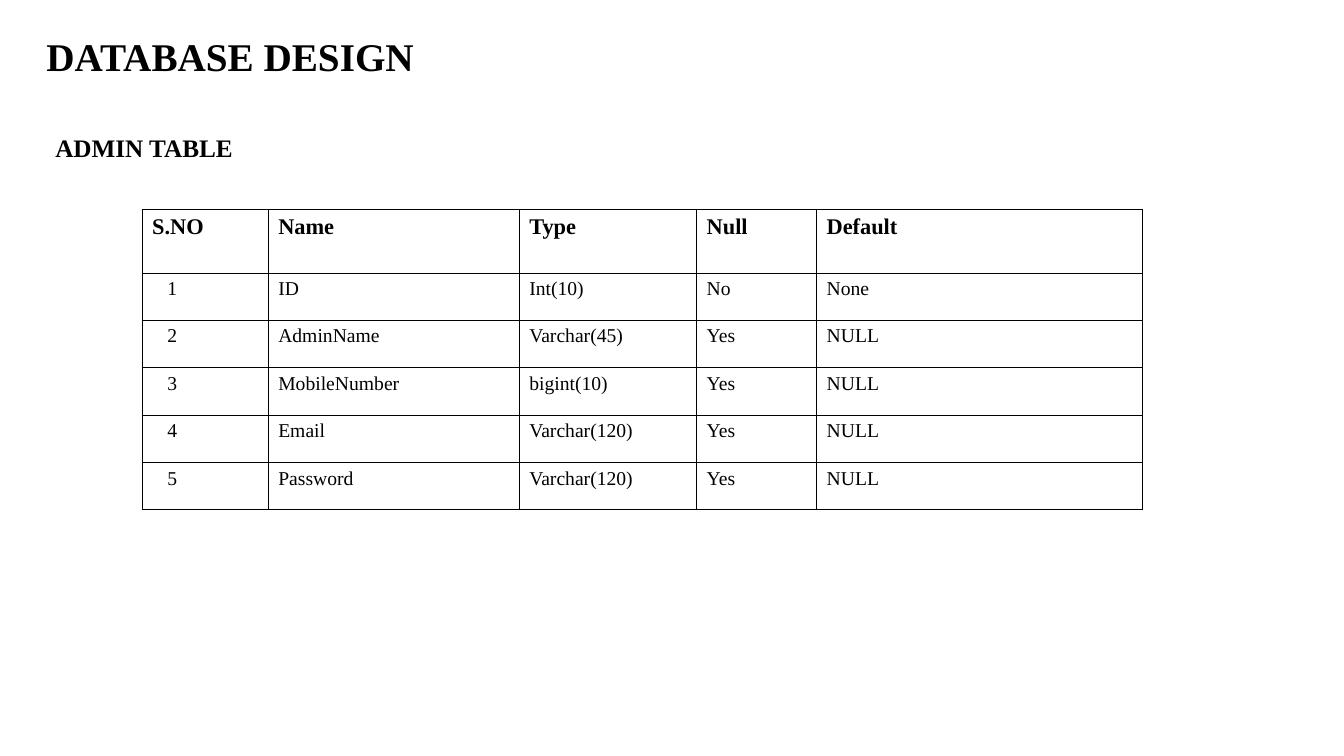
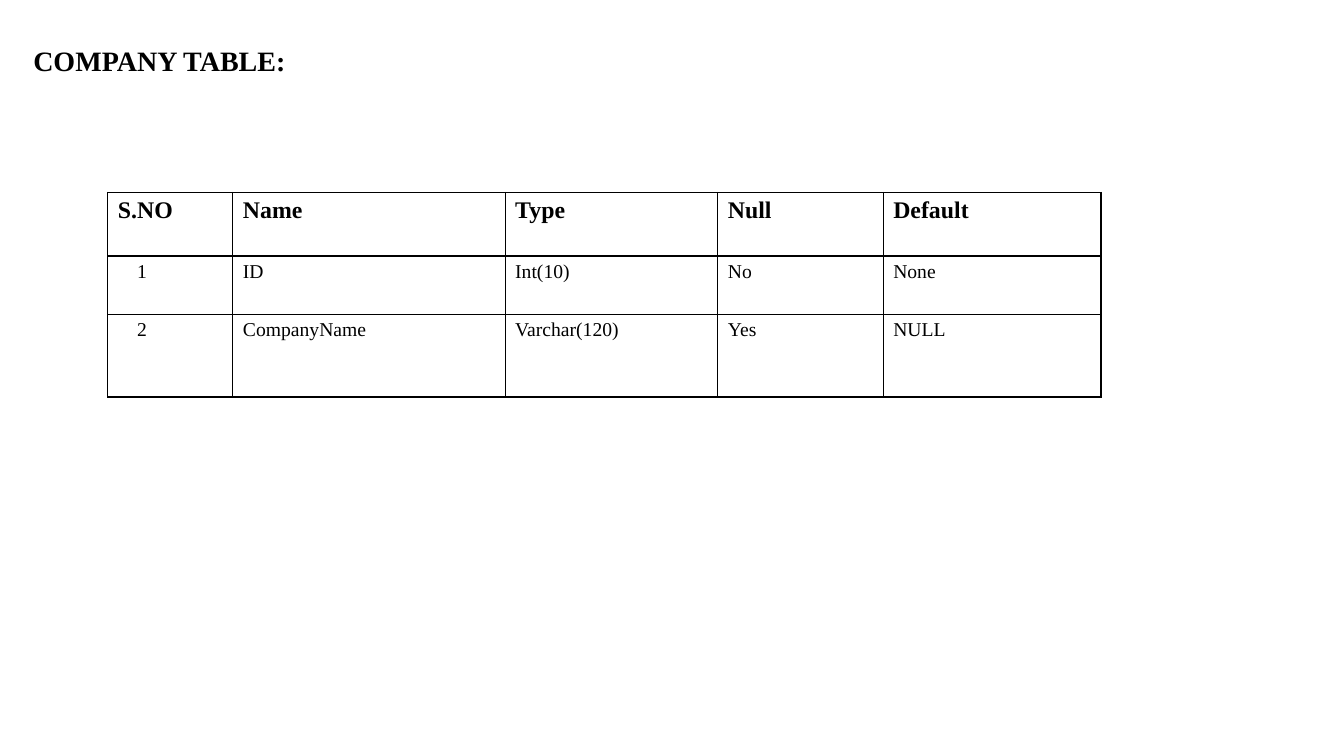
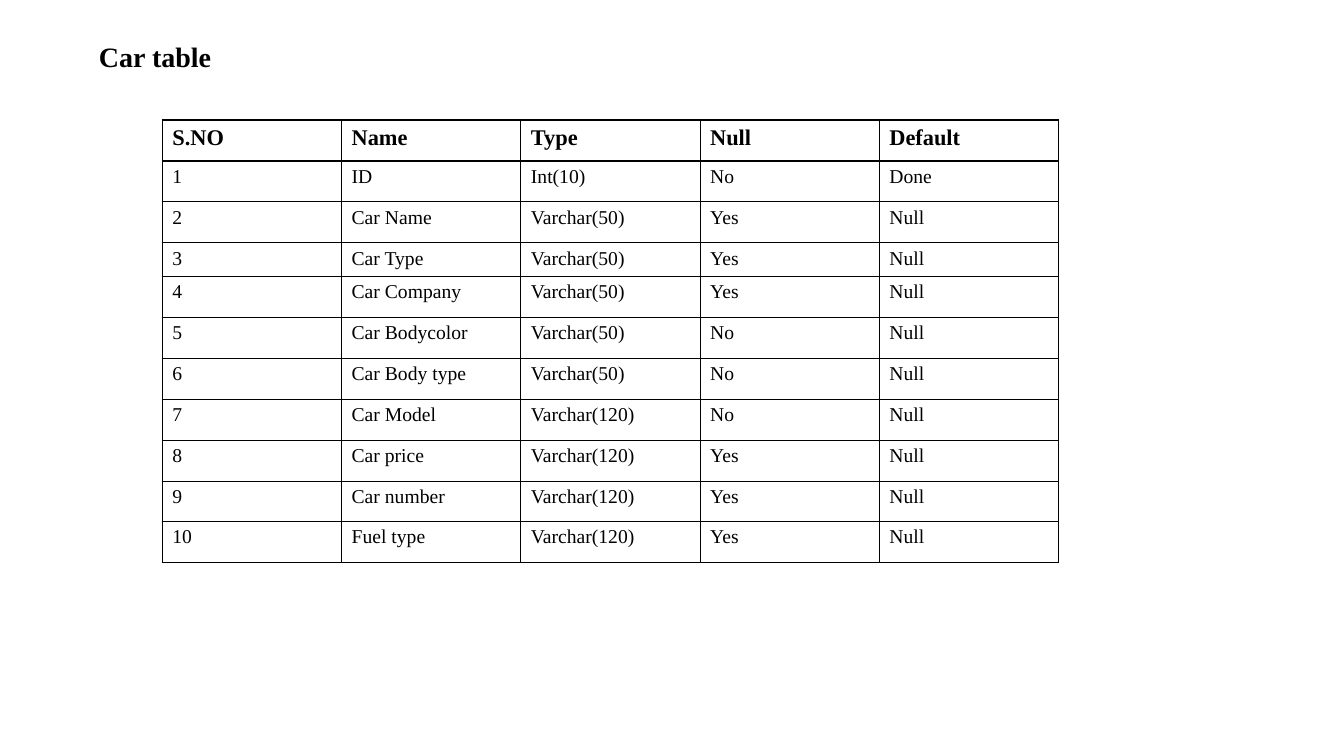
from dataclasses import dataclass

import pptx
import pptx.dml.color
import pptx.enum.text
import pptx.oxml
import pptx.oxml.ns
import pptx.presentation
import pptx.slide
import pptx.table
import pptx.text.text
import pptx.util
from pptx.util import Inches

# Shared style
FONT = "Times New Roman"
INK = "000000"
PAPER = "FFFFFF"
BORDER_PT = 1
BODY_PT = 14
CELL_MARGIN = 0.1
TITLE_ONLY_LAYOUT = 5
COLUMN_NAMES = ("S.NO", "Name", "Type", "Null", "Default")

Row = tuple[str, ...]


@dataclass(frozen=True)
class Heading:
    text: str
    left: float
    top: float
    width: float
    height: float
    size: int


@dataclass(frozen=True)
class Grid:
    left: float
    top: float
    widths: list[float]
    heights: list[float]
    rows: list[Row]
    header_size: int = 0  # 0 means that there is no header row
    serial_indent: float = 0


@dataclass(frozen=True)
class Page:
    title: Heading
    grids: list[Grid]
    subtitle: Heading | None = None


def rgb(color: str) -> pptx.dml.color.RGBColor:
    return pptx.dml.color.RGBColor.from_string(color)


def numbered(fields: list[Row], start: int = 1) -> list[Row]:
    """Put a serial number before the fields of each row."""
    return [(str(number), *field) for number, field in enumerate(fields, start)]


def style_text(paragraph: pptx.text.text._Paragraph, size: int, bold: bool) -> None:
    paragraph.alignment = pptx.enum.text.PP_ALIGN.LEFT
    font = paragraph.font
    font.name = FONT
    font.size = pptx.util.Pt(size)
    font.bold = bold
    font.color.rgb = rgb(INK)


def write_heading(shape, heading: Heading) -> None:
    shape.left, shape.top = Inches(heading.left), Inches(heading.top)
    shape.width, shape.height = Inches(heading.width), Inches(heading.height)
    frame = shape.text_frame
    frame.text = heading.text
    frame.word_wrap = True
    frame.auto_size = pptx.enum.text.MSO_AUTO_SIZE.SHAPE_TO_FIT_TEXT
    frame.vertical_anchor = pptx.enum.text.MSO_ANCHOR.TOP
    style_text(frame.paragraphs[0], heading.size, bold=True)


def add_borders(cell: pptx.table._Cell) -> None:
    properties = cell._tc.get_or_add_tcPr()
    for side in ("lnL", "lnR", "lnT", "lnB"):
        properties.append(pptx.oxml.parse_xml(
            f'<a:{side} {pptx.oxml.ns.nsdecls("a")} w="{pptx.util.Pt(BORDER_PT)}">'
            f'<a:solidFill><a:srgbClr val="{INK}"/></a:solidFill></a:{side}>'
        ))


def draw_grid(slide: pptx.slide.Slide, grid: Grid) -> None:
    rows = [COLUMN_NAMES, *grid.rows] if grid.header_size else grid.rows
    table = slide.shapes.add_table(
        len(rows), len(grid.widths), Inches(grid.left), Inches(grid.top),
        Inches(sum(grid.widths)), Inches(sum(grid.heights)),
    ).table
    table.first_row = bool(grid.header_size)
    table.horz_banding = False
    for column, width in zip(table.columns, grid.widths):
        column.width = Inches(width)
    for table_row, height in zip(table.rows, grid.heights):
        table_row.height = Inches(height)

    for row_index, row in enumerate(rows):
        is_header = bool(grid.header_size) and row_index == 0
        for column_index, value in enumerate(row):
            cell = table.cell(row_index, column_index)
            cell.text = value
            is_serial = column_index == 0 and not is_header
            indent = grid.serial_indent if is_serial else 0
            cell.margin_left = Inches(CELL_MARGIN + indent)
            add_borders(cell)
            cell.fill.solid()
            cell.fill.fore_color.rgb = rgb(PAPER)
            size = grid.header_size if is_header else BODY_PT
            style_text(cell.text_frame.paragraphs[0], size, is_header)


def draw_page(deck: pptx.presentation.Presentation, page: Page) -> None:
    slide = deck.slides.add_slide(deck.slide_layouts[TITLE_ONLY_LAYOUT])
    write_heading(slide.shapes.title, page.title)
    if page.subtitle:
        write_heading(slide.shapes.add_textbox(0, 0, 0, 0), page.subtitle)
    for grid in page.grids:
        draw_grid(slide, grid)


# Admin table
ADMIN = Page(
    title=Heading("DATABASE DESIGN", 0.36, 0.27, 6.66, 0.57, 28),
    subtitle=Heading("ADMIN TABLE", 0.45, 1.26, 6.66, 0.4, 18),
    grids=[Grid(
        left=1.41, top=2.08,
        widths=[1.25, 2.49, 1.76, 1.19, 3.23],
        heights=[0.63] + [0.47] * 5,
        header_size=16, serial_indent=0.15,
        rows=numbered([
            ("ID", "Int(10)", "No", "None"),
            ("AdminName", "Varchar(45)", "Yes", "NULL"),
            ("MobileNumber", "bigint(10)", "Yes", "NULL"),
            ("Email", "Varchar(120)", "Yes", "NULL"),
            ("Password", "Varchar(120)", "Yes", "NULL"),
        ]),
    )],
)

# Company table
COMPANY = Page(
    title=Heading("COMPANY TABLE:", 0.23, 0.38, 2.83, 0.44, 20),
    grids=[Grid(
        left=1.07, top=1.91,
        widths=[1.24, 2.7, 2.11, 1.64, 2.16],
        heights=[0.63, 0.58, 0.82],
        header_size=17, serial_indent=0.19,
        rows=numbered([
            ("ID", "Int(10)", "No", "None"),
            ("CompanyName", "Varchar(120)", "Yes", "NULL"),
        ]),
    )],
)

# Car table, with its last row in a table of its own
CAR_LEFT, CAR_TOP, CAR_WIDTH, CAR_HEIGHT = 1.61, 1.19, 8.89, 3.98
CAR_WIDTHS = [CAR_WIDTH / len(COLUMN_NAMES)] * len(COLUMN_NAMES)
SHORT_ROW = 0.32
CAR_ROW = (CAR_HEIGHT - SHORT_ROW) / 9
CAR = Page(
    title=Heading("Car table", 0.88, 0.34, 2.38, 0.44, 20),
    grids=[
        Grid(
            left=CAR_LEFT, top=CAR_TOP, widths=CAR_WIDTHS,
            heights=[CAR_ROW] * 3 + [SHORT_ROW] + [CAR_ROW] * 6,
            header_size=16,
            rows=numbered([
                ("ID", "Int(10)", "No", "Done"),
                ("Car Name", "Varchar(50)", "Yes", "Null"),
                ("Car Type", "Varchar(50)", "Yes", "Null"),
                ("Car Company", "Varchar(50)", "Yes", "Null"),
                ("Car Bodycolor", "Varchar(50)", "No", "Null"),
                ("Car Body type", "Varchar(50)", "No", "Null"),
                ("Car Model", "Varchar(120)", "No", "Null"),
                ("Car price", "Varchar(120)", "Yes", "Null"),
                ("Car number", "Varchar(120)", "Yes", "Null"),
            ]),
        ),
        Grid(
            left=CAR_LEFT, top=CAR_TOP + CAR_HEIGHT, widths=CAR_WIDTHS,
            heights=[CAR_ROW],
            rows=numbered([("Fuel type", "Varchar(120)", "Yes", "Null")], start=10),
        ),
    ],
)


def main() -> None:
    deck = pptx.Presentation()
    deck.slide_width, deck.slide_height = Inches(13.33), Inches(7.5)
    for page in (ADMIN, COMPANY, CAR):
        draw_page(deck, page)
    deck.save("out.pptx")


if __name__ == "__main__":
    main()
